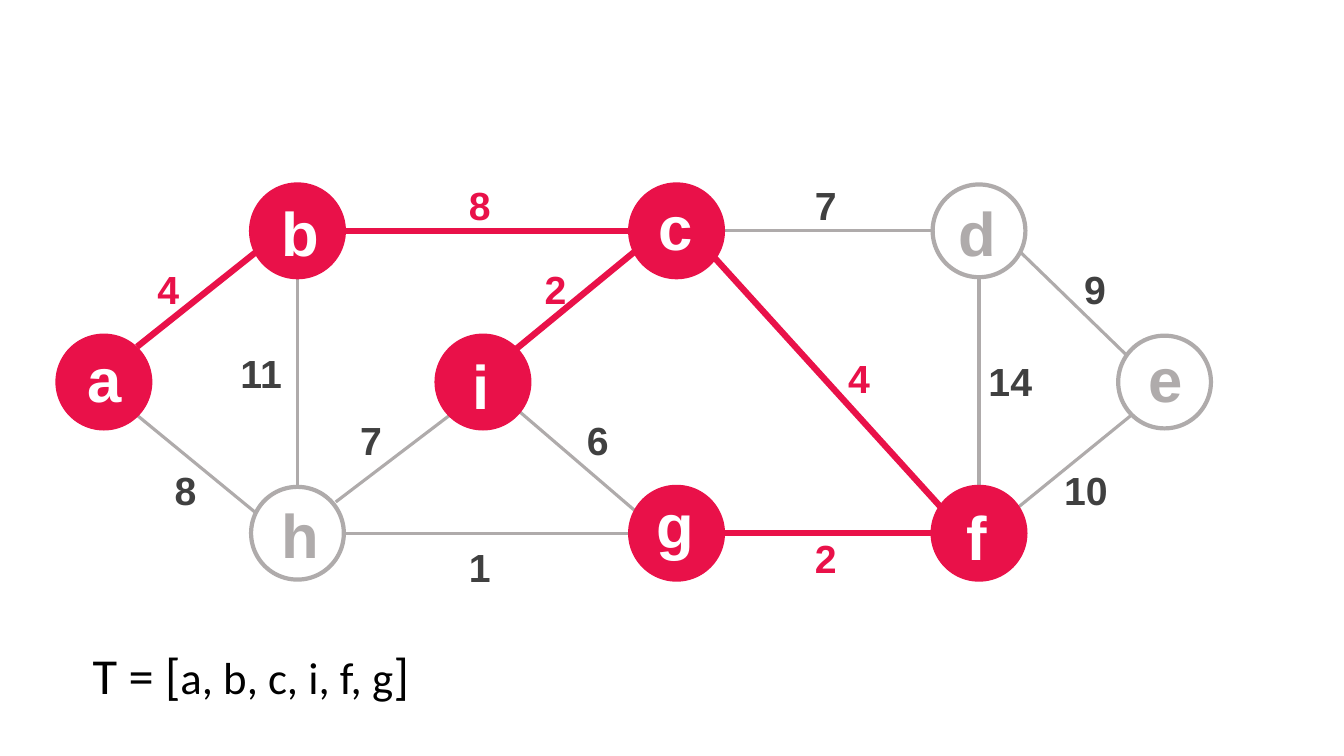
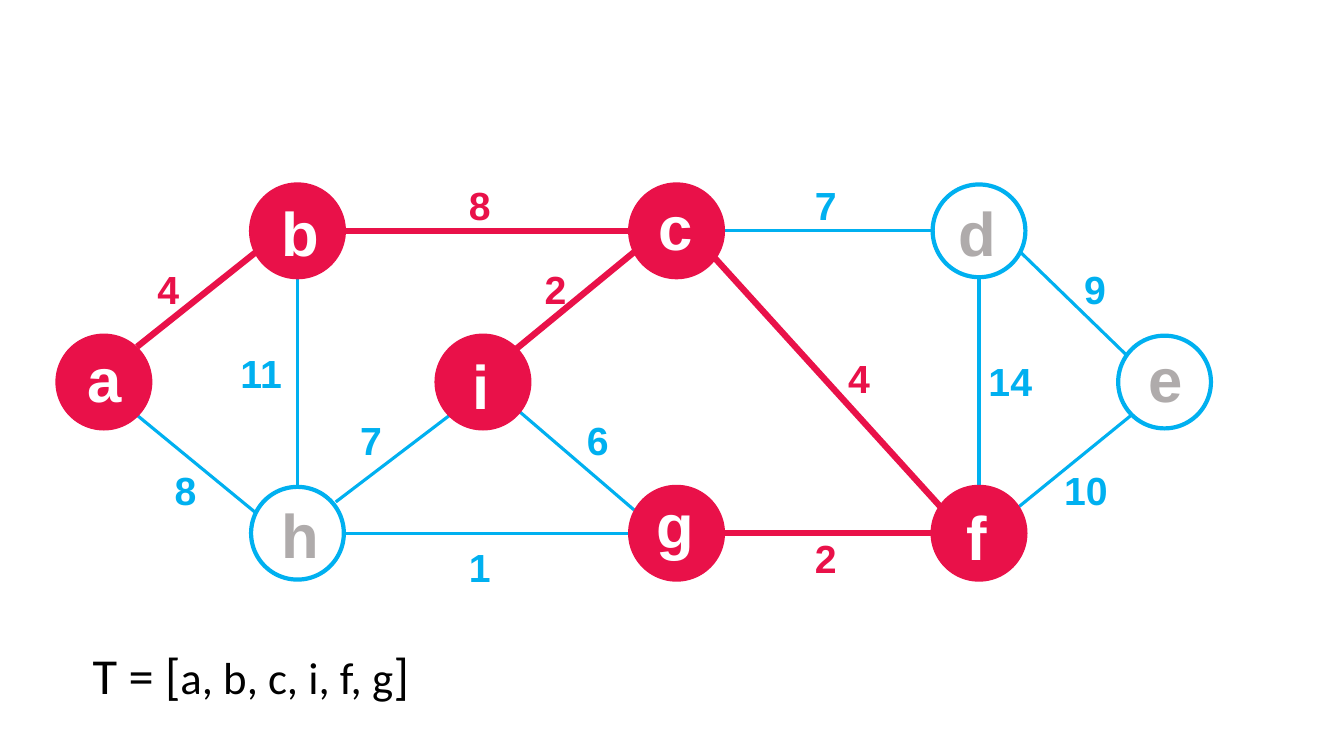
from lxml import etree
from pptx import Presentation
from pptx import util as u
from pptx.dml.color import RGBColor
from pptx.enum import shapes, text
from pptx.oxml import ns

HUES = {"tree": "E91149", "gray": "AFABAB", "dark": "404040",
        "blue": "00B0F0", "white": "FFFFFF", "black": "000000"}

# hue of the open edges and rings, hue of the open weights
SLIDES = [("gray", "dark"), ("blue", "blue")]

SIZE = 0.92
COLS = {"a": 0.57, "b": 2.49, "i": 4.33, "c": 6.25, "d": 9.25, "e": 11.09}
ROWS = [1.83, 3.33, 4.83]
# name: left, top, letter offset across and down
NODES = {
    "h": (COLS["b"], ROWS[2], 0.2, 0.05),
    "d": (COLS["d"], ROWS[0], 0.16, 0.05),
    "e": (COLS["e"], ROWS[1], 0.2, 0),
    "b": (COLS["b"], ROWS[0], 0.2, 0.05),
    "c": (COLS["c"], ROWS[0], 0.18, 0),
    "g": (COLS["c"], ROWS[2], 0.16, -0.05),
    "f": (COLS["d"], ROWS[2], 0.24, 0.07),
    "i": (COLS["i"], ROWS[1], 0.26, 0.07),
    "a": (COLS["a"], ROWS[1], 0.2, 0),
}
TREE = ["a", "b", "c", "i", "f", "g"]
LINKS = ["ab", "bc", "ci", "cf", "gf"]

# edge, weight, left and top of the weight, ends of a slanted edge
EDGES = [
    ("ab", 4, (1.32, 2.58), (1.36, 3.44, 2.54, 2.5)),
    ("ah", 8, (1.49, 4.58), (1.36, 4.12, 2.54, 5.09)),
    ("hg", 1, (4.41, 5.34), None),
    ("gi", 6, (5.58, 4.08), (6.29, 5.06, 5.16, 4.09)),
    ("cd", 7, (7.84, 1.75), None),
    ("gf", 2, (7.84, 5.25), None),
    ("cf", 4, (8.17, 3.47), (7.09, 2.56, 9.33, 5.03)),
    ("de", 9, (10.51, 2.58), (10.12, 2.5, 11.17, 3.52)),
    ("fe", 10, (10.42, 4.58), (10.09, 5.04, 11.22, 4.12)),
    ("df", 14, (9.67, 3.5), None),
    ("bc", 8, (4.41, 1.75), None),
    ("bh", 11, (2.24, 3.42), None),
    ("ci", 2, (5.16, 2.58), (6.29, 2.5, 5.11, 3.47)),
    ("hi", 7, (3.33, 4.08), (3.33, 4.98, 4.46, 4.12)),
]


def rgb(hue):
    return RGBColor.from_string(HUES[hue])


def inches(*vals):
    return [u.Inches(v) for v in vals]


def style(font, name, size, hue, bold=False):
    font.name, font.size, font.bold = name, u.Pt(size), bold
    font.color.rgb = rgb(hue)


def add_box(slide, at, wrap=True):
    frame = slide.shapes.add_textbox(*inches(*at)).text_frame
    frame.word_wrap = wrap
    frame.auto_size = text.MSO_AUTO_SIZE.SHAPE_TO_FIT_TEXT
    return frame.paragraphs[0]


def add_node(slide, name, hue):
    left, top, across, down = NODES[name]
    ring = slide.shapes.add_shape(
        shapes.MSO_SHAPE.OVAL, *inches(left, top, SIZE, SIZE))
    ring.shadow.inherit = False
    used = name in TREE
    if used:
        ring.fill.solid()
        ring.fill.fore_color.rgb = rgb("tree")
    else:
        ring.fill.background()
    ring.line.color.rgb = rgb("tree" if used else hue)
    ring.line.width = u.Pt(3)
    para = add_box(slide, (left + across, top + down, 0.5, 0.83))
    para.text = name
    style(para.font, "Arial", 44, "white" if used else "gray", True)


def span(pair):
    """Ends of a level or upright edge, from rim to rim."""
    (x, y), (x2, y2) = [NODES[name][:2] for name in pair]
    half = SIZE / 2
    if y == y2:
        return x + SIZE, y + half, x2, y + half
    return x + half, y + SIZE, x + half, y2


def add_edge(slide, pair, ends, hue):
    line = slide.shapes.add_connector(
        shapes.MSO_CONNECTOR.STRAIGHT, *inches(*(ends or span(pair))))
    used = pair in LINKS
    line.line.color.rgb = rgb("tree" if used else hue)
    line.line.width = u.Pt(4.5 if used else 2.25)
    props = line._element.find(ns.qn("p:spPr"))
    etree.SubElement(props, ns.qn("a:effectLst"))


def add_weight(slide, pair, weight, at, hue):
    para = add_box(slide, (*at, 0.7, 0.57))
    para.text = str(weight)
    para.alignment = text.PP_ALIGN.CENTER
    style(para.font, "Arial", 28, "tree" if pair in LINKS else hue, True)


def add_list(slide):
    para = add_box(slide, (0.82, 6.34, 4.26, 0.73), wrap=False)
    for part, size in [("T = [", 36), (", ".join(TREE), 32), ("]", 36)]:
        run = para.add_run()
        run.text = part
        style(run.font, "Calibri", size, "black")


def build(deck, open_hue, weight_hue):
    slide = deck.slides.add_slide(deck.slide_layouts[6])
    for name in NODES:
        if name not in TREE:
            add_node(slide, name, open_hue)
    for pair, weight, at, ends in EDGES:
        add_edge(slide, pair, ends, open_hue)
        add_weight(slide, pair, weight, at, weight_hue)
    for name in TREE:
        add_node(slide, name, open_hue)
    add_list(slide)


def main():
    deck = Presentation()
    deck.slide_width, deck.slide_height = inches(13.33, 7.5)
    for hues in SLIDES:
        build(deck, *hues)
    deck.save("out.pptx")


if __name__ == "__main__":
    main()
